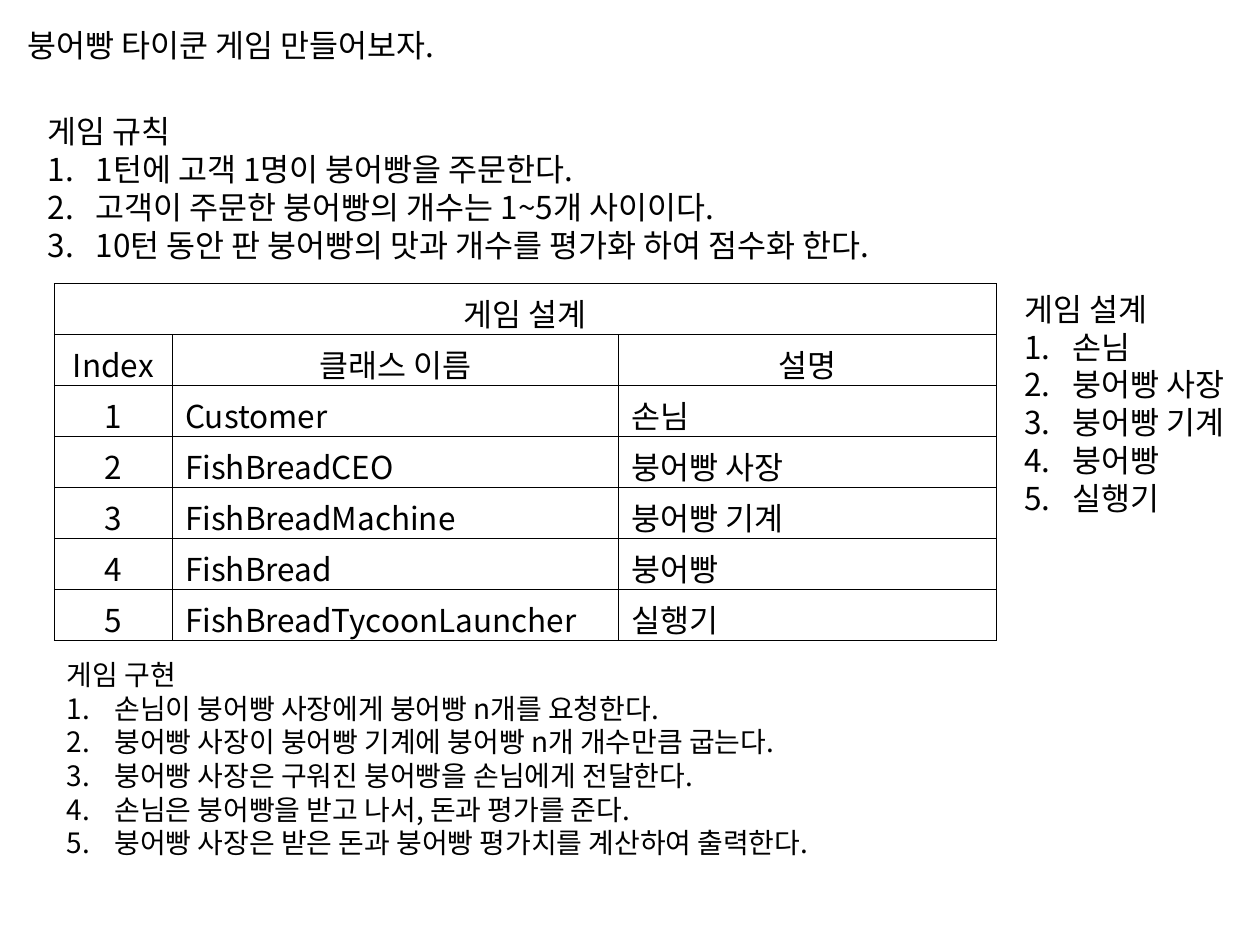
from lxml import etree
from pptx import Presentation
from pptx.dml.color import RGBColor
from pptx.enum.text import MSO_ANCHOR, MSO_AUTO_SIZE, PP_ALIGN
from pptx.oxml.ns import qn
from pptx.util import Inches, Pt

TOP = MSO_ANCHOR.TOP
GROW = MSO_AUTO_SIZE.SHAPE_TO_FIT_TEXT
LEFT, CENTER = PP_ALIGN.LEFT, PP_ALIGN.CENTER
FONT = "Noto Sans CJK KR"
INK, PAPER = "000000", "FFFFFF"
COLS = [0.94, 3.54, 3.0]
ROW = 0.405

HEADS = ["Index", "클래스 이름", "설명"]
PARTS = [
    ("Customer", "손님"),
    ("FishBreadCEO", "붕어빵 사장"),
    ("FishBreadMachine", "붕어빵 기계"),
    ("FishBread", "붕어빵"),
    ("FishBreadTycoonLauncher", "실행기"),
]
RULES = [
    "1턴에 고객 1명이 붕어빵을 주문한다.",
    "고객이 주문한 붕어빵의 개수는 1~5개 사이이다.",
    "10턴 동안 판 붕어빵의 맛과 개수를 평가화 하여 점수화 한다.",
]
STEPS = [
    "손님이 붕어빵 사장에게 붕어빵 n개를 요청한다.",
    "붕어빵 사장이 붕어빵 기계에 붕어빵 n개 개수만큼 굽는다.",
    "붕어빵 사장은 구워진 붕어빵을 손님에게 전달한다.",
    "손님은 붕어빵을 받고 나서, 돈과 평가를 준다.",
    "붕어빵 사장은 받은 돈과 붕어빵 평가치를 계산하여 출력한다.",
]


def color(code):
    """Turn a hex string into a colour."""
    return RGBColor.from_string(code)


def style(para, size=18, align=LEFT):
    """Format one paragraph and its runs."""
    para.alignment = align
    para.space_before = para.space_after = Pt(0)
    for run in para.runs:
        font = run.font
        font.name, font.size, font.bold = FONT, Pt(size), False
        font.color.rgb = color(INK)
        etree.SubElement(run._r.rPr, qn("a:ea"), typeface=FONT)


def number(para, on):
    """Give a paragraph a hanging number, or no bullet at all."""
    props = para._p.get_or_add_pPr()
    indent = Inches(0.38) if on else 0
    props.set("marL", str(indent))
    props.set("indent", str(-indent))
    if on:
        etree.SubElement(props, qn("a:buFont"), typeface=FONT)
        etree.SubElement(props, qn("a:buAutoNum"), type="arabicPeriod")
    else:
        etree.SubElement(props, qn("a:buNone"))


def place(shape, box, lines, size=18):
    """Fill a placeholder with a heading and numbered lines."""
    shape.left, shape.top, shape.width, shape.height = map(Inches, box)
    frame = shape.text_frame
    frame.text = "\n".join(lines)
    frame.word_wrap = False
    frame.auto_size = GROW
    frame.vertical_anchor = TOP
    for i, para in enumerate(frame.paragraphs):
        style(para, size)
        number(para, i > 0)


def border(cell):
    """Draw a thin line on all four sides of a cell."""
    props = cell._tc.get_or_add_tcPr()
    for i, side in enumerate(("lnL", "lnR", "lnT", "lnB")):
        line = etree.Element(qn("a:" + side), w=str(Pt(0.25)))
        fill = etree.SubElement(line, qn("a:solidFill"))
        etree.SubElement(fill, qn("a:srgbClr"), val=INK)
        props.insert(i, line)


def design(slide, left, top):
    """Build the class table from its top left corner."""
    rows = [["게임 설계", "", ""], HEADS]
    rows += [[str(i), *part] for i, part in enumerate(PARTS, 1)]
    table = slide.shapes.add_table(
        len(rows), len(COLS), Inches(left), Inches(top),
        Inches(sum(COLS)), Inches(ROW * len(rows))).table
    table.first_row = table.horz_banding = False
    for col, width in zip(table.columns, COLS):
        col.width = Inches(width)
    for r, row in enumerate(rows):
        table.rows[r].height = Inches(ROW)
        for c, text in enumerate(row):
            cell = table.cell(r, c)
            cell.text = text
            cell.fill.solid()
            cell.fill.fore_color.rgb = color(PAPER)
            border(cell)
            align = CENTER if r < 2 or c == 0 else LEFT
            style(cell.text_frame.paragraphs[0], align=align)
    table.cell(0, 0).merge(table.cell(0, 2))


def build():
    """Make the slide and save it."""
    deck = Presentation()
    deck.slide_width, deck.slide_height = Inches(10), Inches(7.5)
    slide = deck.slides.add_slide(deck.slide_layouts[4])
    title, rules, names, steps, spare = slide.placeholders
    spare._element.getparent().remove(spare._element)
    place(title, (0.12, 0.16, 3.81, 0.4), ["붕어빵 타이쿤 게임 만들어보자."])
    place(rules, (0.28, 0.84, 7.52, 1.31), ["게임 규칙", *RULES])
    place(names, (8.03, 2.25, 1.93, 1.92),
          ["게임 설계", *(name for _, name in PARTS)])
    design(slide, 0.43, 2.25)
    place(steps, (0.43, 5.17, 6.79, 1.72), ["게임 구현", *STEPS], 16)
    deck.save("out.pptx")


build()
